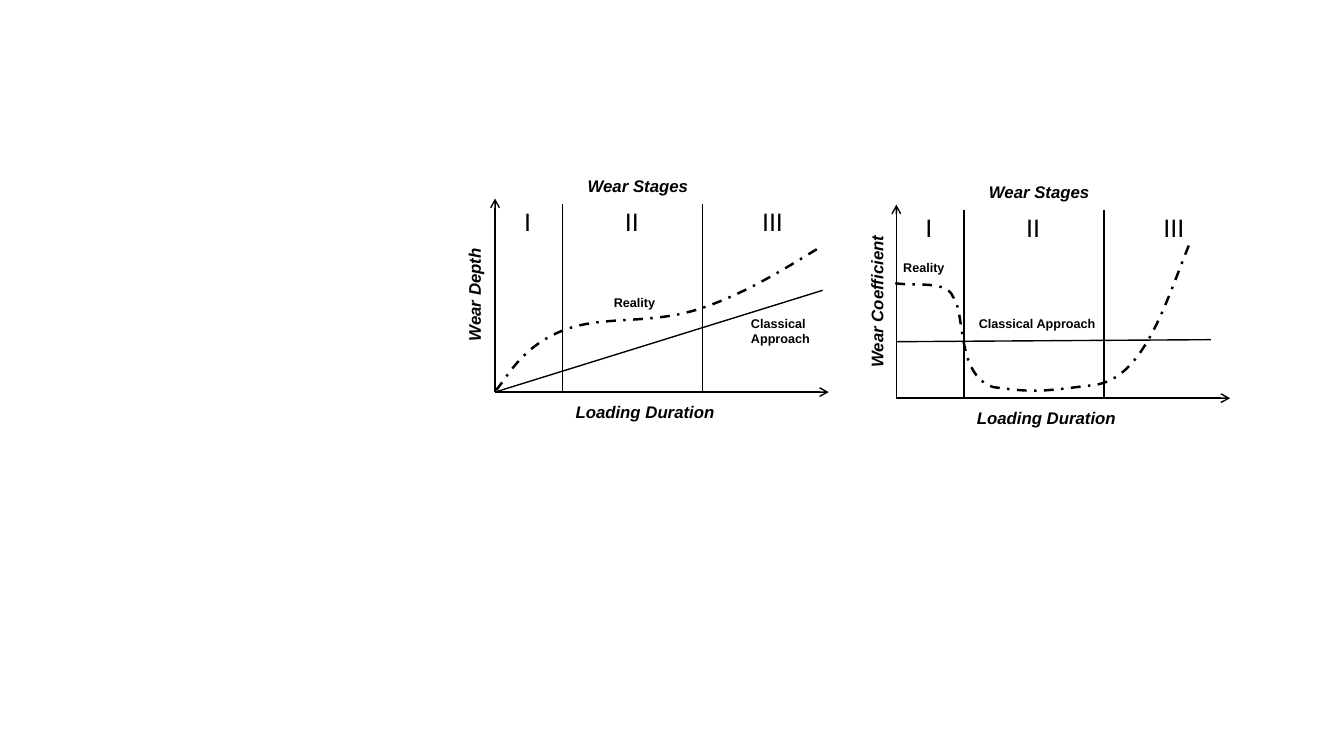
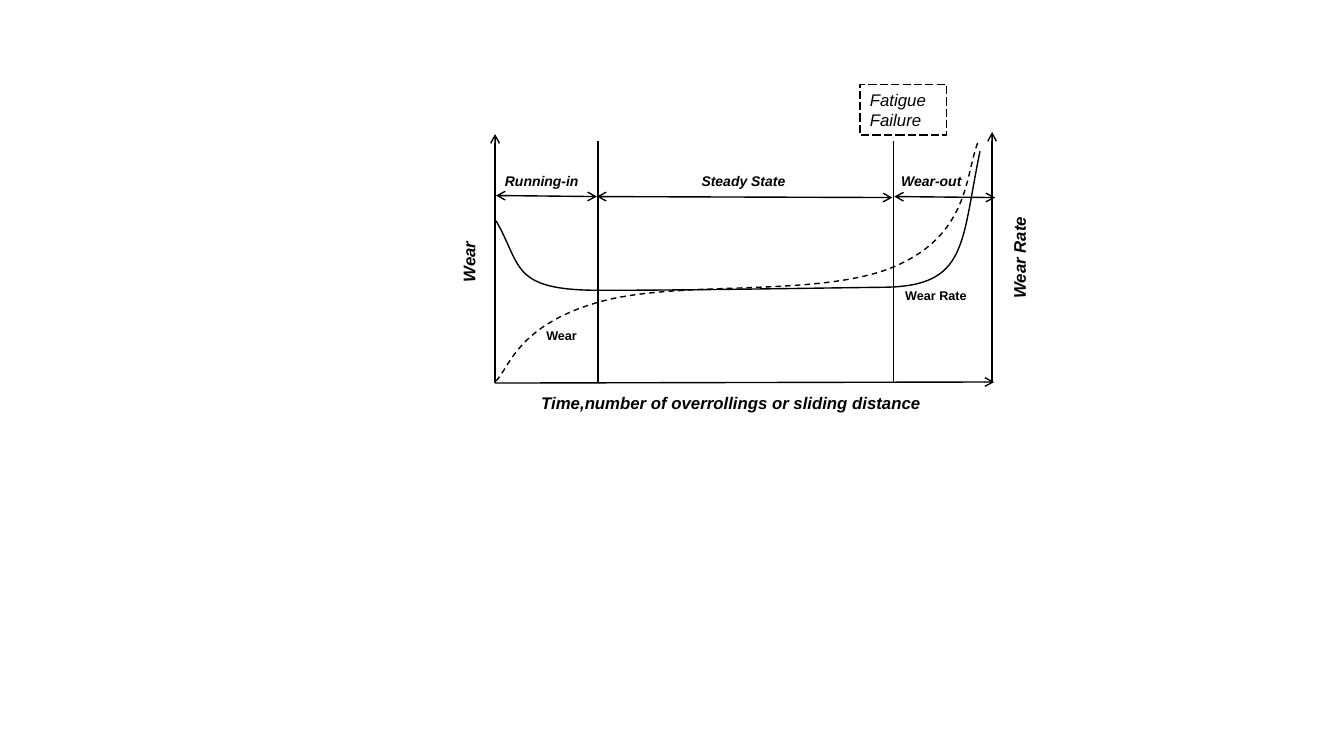
from dataclasses import dataclass, field
from typing import Optional

from lxml.etree import SubElement
from pptx import Presentation
from pptx.dml.color import RGBColor
from pptx.enum.dml import MSO_LINE
from pptx.enum.shapes import MSO_CONNECTOR, MSO_SHAPE
from pptx.enum.text import MSO_ANCHOR, PP_ALIGN
from pptx.oxml.ns import qn
from pptx.slide import Slide
from pptx.text.text import TextFrame
from pptx.util import Emu, Pt

EMU_PER_PX = 9144  # 100 px to the inch
Point = tuple[int, int]


@dataclass(frozen=True)
class TextStyle:
    size: float
    bold: bool = False
    italic: bool = False


@dataclass(frozen=True)
class Theme:
    font: str = "Arial"
    ink: RGBColor = field(default_factory=lambda: RGBColor(0, 0, 0))
    axis: TextStyle = TextStyle(12, bold=True, italic=True)
    phase: TextStyle = TextStyle(10, bold=True, italic=True)
    curve: TextStyle = TextStyle(9, bold=True)
    stage: TextStyle = TextStyle(18)
    box: TextStyle = TextStyle(12, italic=True)
    thin: float = 0.75
    line: float = 1
    thick: float = 1.75


THEME = Theme()


@dataclass(frozen=True)
class Label:
    text: str
    left: int
    top: int
    width: int
    height: int
    style: TextStyle
    rotation: int = 0


@dataclass(frozen=True)
class Line:
    start: Point
    end: Point
    head: bool = False
    tail: bool = False


@dataclass(frozen=True)
class Curve:
    """A start point, then two control points and an end point per segment."""
    points: list[Point]
    width: float = THEME.line
    dash: Optional[MSO_LINE] = None


@dataclass(frozen=True)
class StagePlot:
    """A chart with three wear stages; its origin places everything shared."""
    origin: Point
    vertical_title: Label
    reality: Curve
    classical: Line
    curve_labels: list[Label]


def px(value: int) -> Emu:
    return Emu(value * EMU_PER_PX)


# Drawing functions
def style_line(line, width: float, dash: Optional[MSO_LINE] = None) -> None:
    line.color.rgb = THEME.ink
    line.width = Pt(width)
    if dash is not None:
        line.dash_style = dash


def write_text(frame: TextFrame, text: str, style: TextStyle) -> None:
    frame.word_wrap = True
    frame.vertical_anchor = MSO_ANCHOR.TOP
    frame.text = text
    for paragraph in frame.paragraphs:
        paragraph.alignment = PP_ALIGN.LEFT
        font = paragraph.font
        font.name = THEME.font
        font.size = Pt(style.size)
        font.bold = style.bold
        font.italic = style.italic
        font.color.rgb = THEME.ink


def draw_label(slide: Slide, label: Label) -> None:
    shape = slide.shapes.add_textbox(
        px(label.left), px(label.top), px(label.width), px(label.height))
    shape.rotation = label.rotation
    write_text(shape.text_frame, label.text, label.style)


def draw_line(slide: Slide, line: Line) -> None:
    connector = slide.shapes.add_connector(
        MSO_CONNECTOR.STRAIGHT, *map(px, line.start + line.end))
    style_line(connector.line, THEME.line)
    outline = connector.line._get_or_add_ln()
    for tag, wanted in (("a:headEnd", line.head), ("a:tailEnd", line.tail)):
        if wanted:
            SubElement(outline, qn(tag), type="arrow")
    SubElement(connector._element.spPr, qn("a:effectLst"))


def draw_curve(slide: Slide, curve: Curve) -> None:
    start, *rest = curve.points
    builder = slide.shapes.build_freeform(*start, scale=EMU_PER_PX)
    builder.add_line_segments(rest, close=False)
    shape = builder.convert_to_shape()
    # Join each three straight pieces into one cubic segment
    outline = next(shape._element.iter(qn("a:path")))
    pieces = outline.findall(qn("a:lnTo"))
    for first in range(0, len(pieces), 3):
        cubic = SubElement(outline, qn("a:cubicBezTo"))
        for piece in pieces[first:first + 3]:
            cubic.append(piece[0])
            outline.remove(piece)
    shape.shadow.inherit = False
    shape.fill.background()
    style_line(shape.line, curve.width, curve.dash)


def draw_stage_plot(slide: Slide, plot: StagePlot) -> None:
    x, y = plot.origin
    # Stage dividers and axes
    for offset in (67, 206):
        draw_line(slide, Line((x + offset, y - 187), (x + offset, y)))
    for end in ((x, y - 192), (x + 331, y)):
        draw_line(slide, Line(plot.origin, end, tail=True))
    # Stage numerals and titles
    for numeral, offset in (("I", 19), ("II", 119), ("III", 255)):
        draw_label(slide, Label(numeral, x + offset, y - 189, 50, 40, THEME.stage))
    draw_label(slide, Label("Wear Stages", x + 82, y - 220, 129, 27, THEME.axis))
    draw_label(slide, Label("Loading Duration", x + 70, y + 5, 168, 27, THEME.axis))
    draw_label(slide, plot.vertical_title)
    # Curves
    draw_line(slide, plot.classical)
    draw_curve(slide, plot.reality)
    for label in plot.curve_labels:
        draw_label(slide, label)


# Slide 1: wear depth and wear coefficient
STAGE_PLOTS = [
    StagePlot(
        origin=(491, 389),
        vertical_title=Label("Wear Depth", 404, 270, 130, 27, THEME.axis, 270),
        reality=Curve([(492, 387), (502, 376), (517, 344), (558, 328),
                       (598, 312), (644, 323), (695, 306),
                       (746, 289), (793, 257), (814, 245)],
                      THEME.thick, MSO_LINE.DASH_DOT),
        classical=Line((491, 389), (816, 288)),
        curve_labels=[Label("Reality", 599, 288, 66, 27, THEME.curve),
                      Label("Classical\nApproach", 735, 308, 87, 35, THEME.curve)]),
    StagePlot(
        origin=(889, 395),
        vertical_title=Label("Wear Coefficient", 785, 278, 166, 27, THEME.axis, 270),
        reality=Curve([(888, 281), (906, 284), (939, 278), (945, 294),
                       (958, 309), (948, 372), (985, 384),
                       (1028, 390), (1034, 388), (1085, 382),
                       (1136, 376), (1158, 294), (1181, 239)],
                      THEME.thick, MSO_LINE.DASH_DOT),
        classical=Line((889, 339), (1201, 337)),
        curve_labels=[Label("Reality", 886, 253, 66, 27, THEME.curve),
                      Label("Classical Approach", 961, 308, 145, 35, THEME.curve)]),
]

# Slide 2: wear and wear rate over time
LIFE_LINES = [
    *(Line((x, 140), (x, 380)) for x in (593, 886)),
    Line((491, 380), (491, 133), tail=True),
    Line((491, 380), (986, 379), tail=True),
    Line((984, 378), (984, 131), tail=True),
    Line((492, 194), (592, 195), head=True, tail=True),
    Line((592, 195), (885, 196), head=True, tail=True),
    Line((887, 195), (987, 196), head=True, tail=True),
]
LIFE_CURVES = [
    Curve([(492, 219), (518, 264), (506, 288), (595, 288),
           (683, 288), (794, 286), (877, 285),
           (960, 284), (953, 242), (972, 150)]),
    Curve([(492, 378), (506, 363), (514, 323), (593, 300),
           (672, 277), (811, 296), (886, 265),
           (962, 233), (957, 174), (970, 141)], dash=MSO_LINE.DASH),
]
LIFE_LABELS = [
    *(Label(text, left, 166, 114, 35, THEME.phase)
      for text, left in (("Running-in", 491), ("Steady State", 686), ("Wear-out", 884))),
    Label("Time,number of overrollings or sliding distance", 527, 385, 436, 35, THEME.axis),
    Label("Wear", 405, 215, 120, 30, THEME.axis, 270),
    Label("Wear Rate", 951, 231, 120, 30, THEME.axis, 270),
    Label("Wear", 532, 320, 120, 25, THEME.curve),
    Label("Wear Rate", 888, 281, 120, 25, THEME.curve),
]
FAILURE_BOX = Label("Fatigue Failure", 853, 84, 86, 50, THEME.box)


def draw_dashed_box(slide: Slide, box: Label) -> None:
    shape = slide.shapes.add_shape(
        MSO_SHAPE.RECTANGLE, px(box.left), px(box.top), px(box.width), px(box.height))
    shape.shadow.inherit = False
    shape.fill.background()
    style_line(shape.line, THEME.thin, MSO_LINE.LONG_DASH)
    write_text(shape.text_frame, box.text, box.style)


def main() -> None:
    presentation = Presentation()
    presentation.slide_width = px(1333)
    presentation.slide_height = px(750)
    blank = presentation.slide_layouts[6]

    stages_slide = presentation.slides.add_slide(blank)
    for plot in STAGE_PLOTS:
        draw_stage_plot(stages_slide, plot)

    life_slide = presentation.slides.add_slide(blank)
    for line in LIFE_LINES:
        draw_line(life_slide, line)
    for curve in LIFE_CURVES:
        draw_curve(life_slide, curve)
    for label in LIFE_LABELS:
        draw_label(life_slide, label)
    draw_dashed_box(life_slide, FAILURE_BOX)

    presentation.save("out.pptx")


if __name__ == "__main__":
    main()
